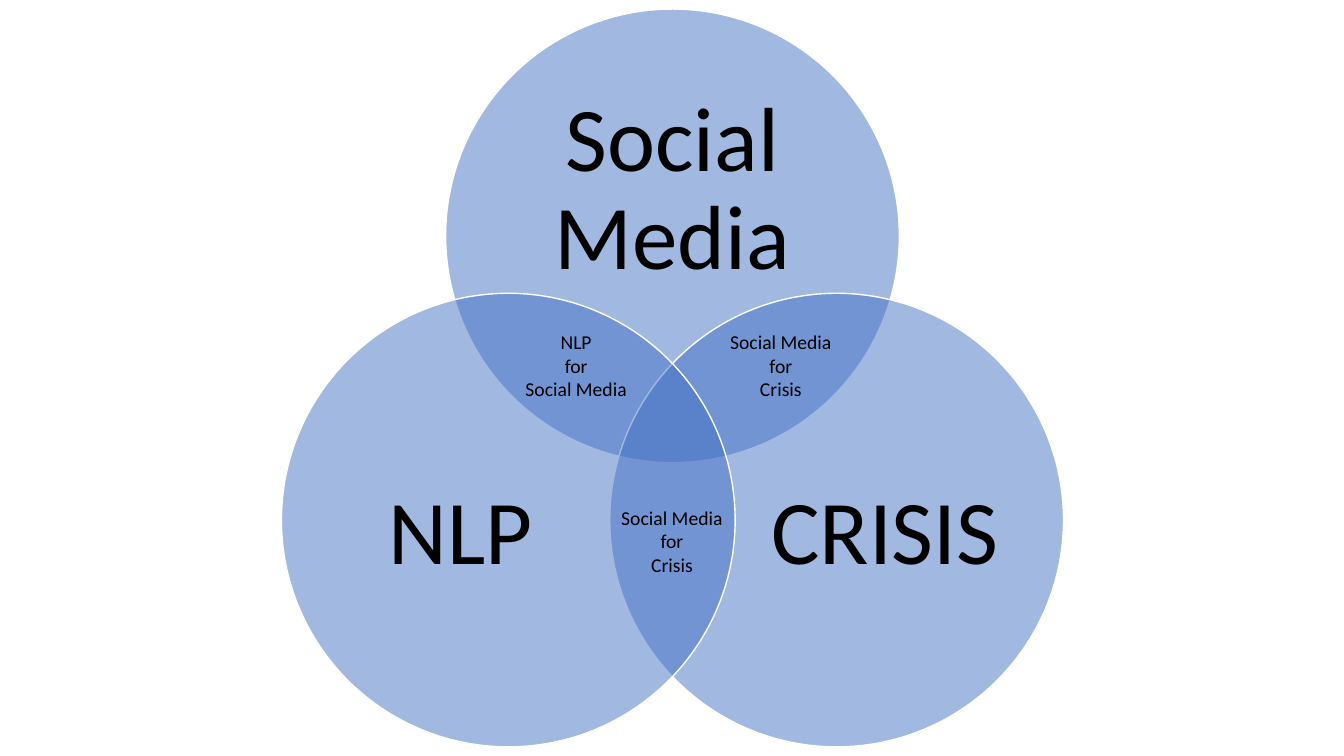
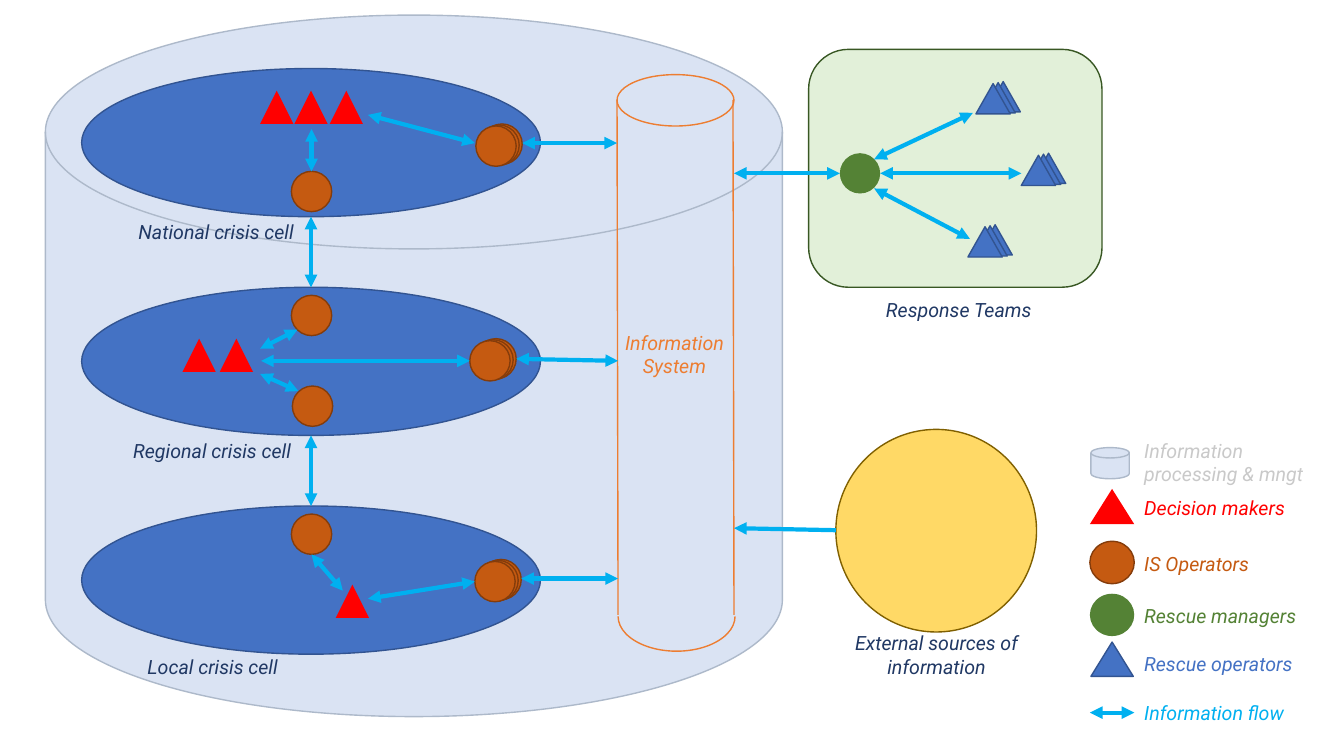
from dataclasses import dataclass
from math import cos, radians, sin

from pptx import Presentation
from pptx.dml.color import RGBColor
from pptx.enum.shapes import MSO_CONNECTOR, MSO_SHAPE
from pptx.enum.text import MSO_ANCHOR, MSO_AUTO_SIZE, PP_ALIGN
from pptx.oxml.ns import qn
from pptx.oxml.xmlchemy import OxmlElement
from pptx.util import Inches, Pt

ELLIPSE = MSO_SHAPE.OVAL
TRIANGLE = MSO_SHAPE.ISOSCELES_TRIANGLE
DISK = MSO_SHAPE.FLOWCHART_MAGNETIC_DISK
ROUNDED = MSO_SHAPE.ROUNDED_RECTANGLE
ARC = MSO_SHAPE.ARC
STRAIGHT = MSO_CONNECTOR.STRAIGHT
MIDDLE = MSO_ANCHOR.MIDDLE
FIT = MSO_AUTO_SIZE.SHAPE_TO_FIT_TEXT
LEFT, CENTER = PP_ALIGN.LEFT, PP_ALIGN.CENTER


@dataclass(frozen=True)
class Theme:
    white: str = "FFFFFF"
    black: str = "000000"
    blue: str = "4472C4"
    blue_edge: str = "325491"
    navy: str = "203864"
    flow: str = "00B0F0"
    red: str = "FF0000"
    rust: str = "C55A11"
    rust_edge: str = "843C0B"
    green: str = "548235"
    orange: str = "ED7D31"
    pale_blue: str = "DAE3F3"
    pale_blue_edge: str = "ADB9CA"
    pale_green: str = "E2F0D9"
    pale_green_edge: str = "385723"
    yellow: str = "FFD966"
    yellow_edge: str = "806000"
    grey: str = "C9C9C9"
    venn_font: str = "Calibri"
    diagram_font: str = "Roboto"
    label_size: int = 14
    circle_size: int = 65
    edge_width: int = 1
    flow_width: int = 3


THEME = Theme()
DECISION_MAKER = (TRIANGLE, THEME.red, None)
IS_OPERATOR = (ELLIPSE, THEME.rust, THEME.rust_edge)
RESCUE_MANAGER = (ELLIPSE, THEME.green, None)
RESCUE_OPERATOR = (TRIANGLE, THEME.blue, THEME.blue_edge)
PROCESSING = (DISK, THEME.pale_blue, THEME.pale_blue_edge)
CRISIS_CELL = (ELLIPSE, THEME.blue, THEME.blue_edge)
SYSTEM_TOP = (ELLIPSE, None, THEME.orange)
SYSTEM_BOTTOM = (ARC, None, THEME.orange)
RESPONSE_AREA = (ROUNDED, THEME.pale_green, THEME.pale_green_edge)
SOURCES = (ELLIPSE, THEME.yellow, THEME.yellow_edge)
VENN_CIRCLE = (ELLIPSE, THEME.blue, THEME.white)

CELL_LEFT, CELL_TOP, CELL_PITCH = 0.81, 0.68, 2.17
CELL_WIDTH, CELL_HEIGHT = 4.55, 1.47
OPERATOR_SIZE = (0.4, 0.4)
DECISION_SIZE = (0.33, 0.33)
RESCUE_SIZE = (0.34, 0.3)

CELLS = [
    {
        "label": ("National crisis cell", 0.17, 1.45, 2.33),
        "team": (3.91, 0.57),
        "operators": [(2.08, 1.02)],
        "makers": [(1.77, 0.22), (2.11, 0.22), (2.46, 0.22)],
        "flows": [(2.28, 1.02, 2.28, 0.6), (2.84, 0.46, 3.9, 0.74), (4.37, 0.74, 5.31, 0.74)],
    },
    {
        "label": ("Regional crisis cell", 0.13, 1.45, 2.33),
        "team": (3.85, 0.53),
        "operators": [(2.08, 0.08), (2.09, 0.98)],
        "makers": [(1, 0.51), (1.37, 0.51)],
        "flows": [(3.85, 0.73, 1.78, 0.73), (2.14, 0.42, 1.77, 0.61),
                  (2.15, 1.03, 1.77, 0.86), (5.32, 0.73, 4.31, 0.71)],
    },
    {
        "label": ("Local crisis cell", 0.33, 1.42, 1.94),
        "team": (3.9, 0.55),
        "operators": [(2.08, 0.08)],
        "makers": [(2.52, 0.78)],
        "flows": [(2.28, 0.48, 2.59, 0.84), (3.9, 0.75, 2.84, 0.92), (5.32, 0.72, 4.36, 0.72)],
    },
]


def apply_format(target, values):
    for name, value in values.items():
        setattr(target, name, value)


def set_line(line, color, width):
    line.color.rgb = RGBColor.from_string(color)
    line.width = Pt(width)


class Region:
    def __init__(self, slide, left=0, top=0):
        self.slide, self.left, self.top = slide, left, top

    def place(self, x, y):
        return Inches(self.left + x), Inches(self.top + y)

    def shape(self, style, x, y, width, height):
        kind, fill, edge = style
        shape = self.slide.shapes.add_shape(kind, *self.place(x, y), Inches(width), Inches(height))
        shape.shadow.inherit = False
        if fill:
            shape.fill.solid()
            shape.fill.fore_color.rgb = RGBColor.from_string(fill)
        else:
            shape.fill.background()
        if edge:
            set_line(shape.line, edge, THEME.edge_width)
        else:
            shape.line.fill.background()
        return shape

    def stack(self, style, x, y, size, step_x):
        for depth in (2, 1, 0):
            self.shape(style, x + depth * step_x, y - depth * 0.01, *size)

    def line(self, x1, y1, x2, y2, color=THEME.flow, width=THEME.flow_width, ends=("headEnd", "tailEnd")):
        connector = self.slide.shapes.add_connector(STRAIGHT, *self.place(x1, y1), *self.place(x2, y2))
        set_line(connector.line, color, width)
        properties = connector.element.spPr
        for end in ends:
            arrowhead = OxmlElement(f"a:{end}")
            arrowhead.set("type", "triangle")
            properties.find(qn("a:ln")).append(arrowhead)
        properties.append(OxmlElement("a:effectLst"))

    def text(self, text, x, y, width, height=0.34, color=THEME.navy, align=CENTER,
             font=None, frame=None, spacing=1.0):
        box = self.slide.shapes.add_textbox(*self.place(x, y), Inches(width), Inches(height))
        text_frame = box.text_frame
        apply_format(text_frame, {"word_wrap": True, "vertical_anchor": MIDDLE,
                                  **(frame or {"auto_size": FIT})})
        paragraph = text_frame.paragraphs[0]
        paragraph.text = text
        apply_format(paragraph, {"alignment": align, "line_spacing": spacing})
        values = font or {"name": THEME.diagram_font, "size": Pt(THEME.label_size), "italic": True}
        for run in paragraph.runs:
            apply_format(run.font, values)
            run.font.color.rgb = RGBColor.from_string(color)


def venn_circle(region, name, x, y, width, height):
    circle = region.shape(VENN_CIRCLE, 0, 0, 4.5, 4.5)
    alpha = OxmlElement("a:alpha")
    alpha.set("val", "50000")
    circle.element.spPr.find(qn("a:solidFill"))[0].append(alpha)
    margins = dict.fromkeys(("margin_left", "margin_top", "margin_right", "margin_bottom"), 0)
    region.text(name, x, y, width, height, color=THEME.black, frame=margins, spacing=0.9,
                font={"name": THEME.venn_font, "size": Pt(THEME.circle_size)})


def venn_slide(slide):
    center_x, center_y, distance, radius = 6.67, 4.22, 1.88, 2.25
    circles = [
        (-90, "Social Media", 0.6, 0.79, 3.3, 2.03),
        (30, "CRISIS", 1.38, 1.16, 2.7, 2.48),
        (150, "NLP", 0.43, 1.16, 2.7, 2.48),
    ]
    for angle, *name_box in circles:
        left = center_x + distance * cos(radians(angle)) - radius
        top = center_y + distance * sin(radians(angle)) - radius
        venn_circle(Region(slide, left, top), *name_box)
    overlaps = [
        ("NLP\nfor\nSocial Media", 5.1, 3.22),
        ("Social Media\nfor\nCrisis", 7.13, 3.22),
        ("Social Media\nfor\nCrisis", 6.05, 4.96),
    ]
    for text, x, y in overlaps:
        Region(slide).text(text, x, y, 1.23, 0.81, color=THEME.black,
                           font={"name": THEME.venn_font, "size": Pt(THEME.label_size)})


def information_system(region):
    width, rim, bottom = 1.16, 0.25, 5.36
    region.shape(SYSTEM_TOP, 0, 0, width, 0.51)
    for side in (0, width - 0.01):
        region.line(side, rim, side + 0.01, bottom, THEME.orange, THEME.edge_width, ends=())
    base = region.shape(SYSTEM_BOTTOM, 0.01, 5.03, width, 0.69)
    base.rotation = 180
    base.adjustments[0], base.adjustments[1] = 108, 0
    region.text("Information System", -0.22, 2.49, 1.58, 0.57, color=THEME.orange)


def crisis_cell(region, cell):
    region.shape(CRISIS_CELL, 0, 0, CELL_WIDTH, CELL_HEIGHT)
    region.stack(IS_OPERATOR, *cell["team"], OPERATOR_SIZE, 0.03)
    for x, y in cell["operators"]:
        region.shape(IS_OPERATOR, x, y, *OPERATOR_SIZE)
    for x, y in cell["makers"]:
        region.shape(DECISION_MAKER, x, y, *DECISION_SIZE)
    for flow in cell["flows"]:
        region.line(*flow)
    region.text(*cell["label"])


def response_teams(region):
    region.shape(RESPONSE_AREA, 0, 0, 2.91, 2.36)
    region.shape(RESCUE_MANAGER, 0.31, 1.03, *OPERATOR_SIZE)
    for x, y in [(1.66, 0.34), (2.11, 1.05), (1.58, 1.76)]:
        region.stack(RESCUE_OPERATOR, x, y, RESCUE_SIZE, 0.05)
    for flow in [(1.6, 1.88, 0.65, 1.38), (2.11, 1.23, 0.71, 1.23),
                 (1.63, 0.63, 0.65, 1.09), (0.31, 1.23, -0.74, 1.23)]:
        region.line(*flow)
    region.text("Response Teams", 0.52, 2.41, 1.94)


def external_sources(region):
    region.shape(SOURCES, 0, 0, 1.99, 2.01)
    region.line(0, 1, -1.01, 0.98, ends=("tailEnd",))
    region.text("External sources of information", 0.03, 1.95, 1.94, 0.57)


def legend(region):
    entries = [
        (PROCESSING, (0.01, 0.14, 0.38, 0.31), "Information processing & mngt", 0, 0.57, THEME.grey),
        (DECISION_MAKER, (0, 0.55, 0.44, 0.35), "Decision makers", 0.57, 0.34, THEME.red),
        (IS_OPERATOR, (0, 1.07, 0.44, 0.42), "IS Operators", 1.12, 0.34, THEME.rust),
        (RESCUE_MANAGER, (0, 1.59, 0.44, 0.42), "Rescue managers", 1.64, 0.34, THEME.green),
        (RESCUE_OPERATOR, (0.01, 2.07, 0.42, 0.34), "Rescue operators", 2.11, 0.34, THEME.blue),
        (None, (0.44, 2.77, 0, 2.77), "Information flow", 2.6, 0.34, THEME.flow),
    ]
    for style, symbol, text, y, height, color in entries:
        if style:
            region.shape(style, *symbol)
        else:
            region.line(*symbol)
        region.text(text, 0.44, y, 1.84, height, color, LEFT)


def crisis_slide(slide):
    page = Region(slide)
    page.shape(PROCESSING, 0.45, 0.15, 7.31, 6.96)
    information_system(Region(slide, 6.12, 0.74))
    for index, cell in enumerate(CELLS):
        top = CELL_TOP + index * CELL_PITCH
        crisis_cell(Region(slide, CELL_LEFT, top), cell)
        if index:
            middle = CELL_LEFT + CELL_WIDTH / 2
            page.line(middle, top - CELL_PITCH + CELL_HEIGHT, middle, top)
    response_teams(Region(slide, 8.02, 0.49))
    external_sources(Region(slide, 8.29, 4.26))
    legend(Region(slide, 10.81, 4.3))


def main():
    presentation = Presentation()
    apply_format(presentation, {"slide_width": Inches(13.33), "slide_height": Inches(7.5)})
    blank = presentation.slide_layouts[6]
    for build in (venn_slide, crisis_slide):
        build(presentation.slides.add_slide(blank))
    presentation.save("out.pptx")


if __name__ == "__main__":
    main()
